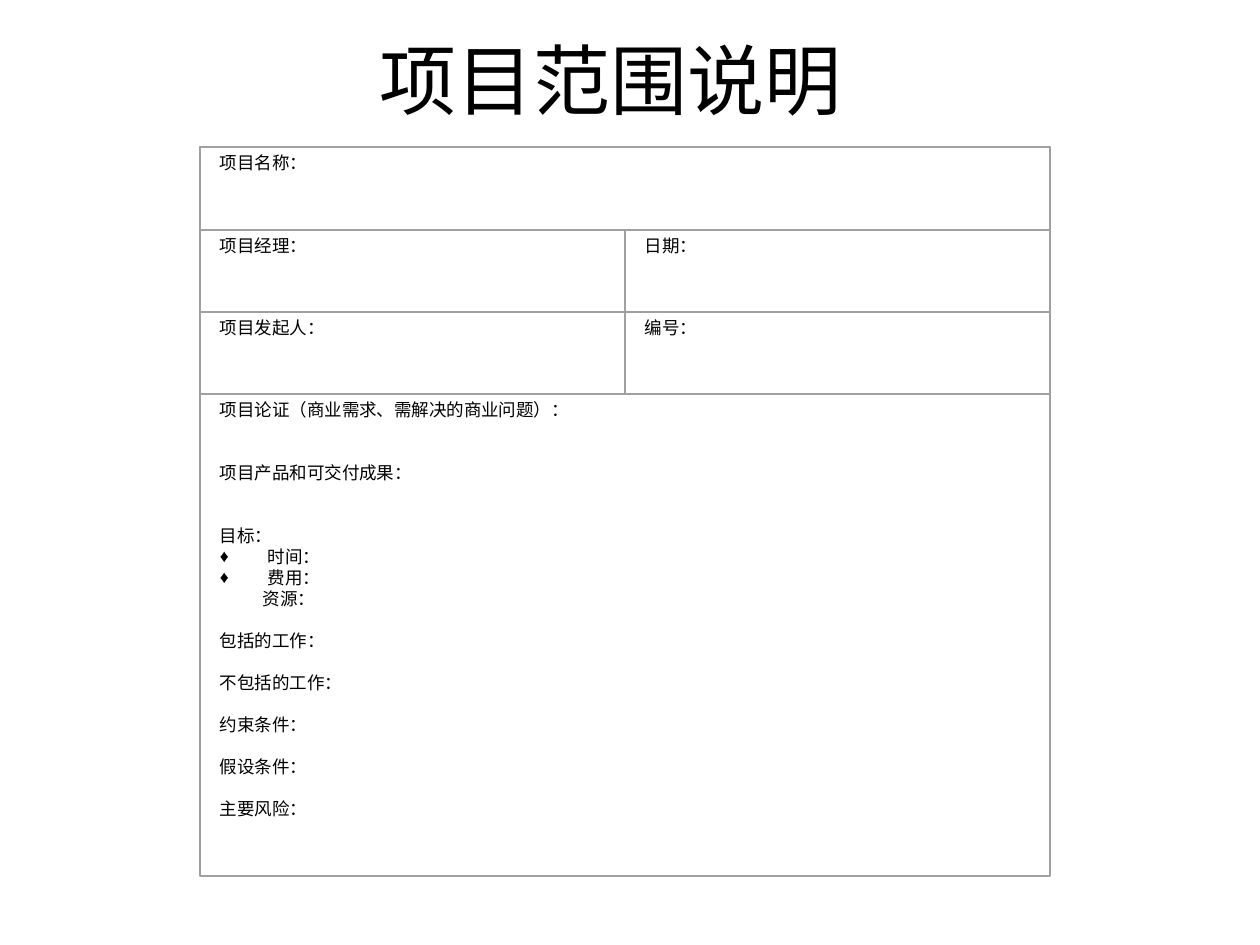
from lxml import etree
from pptx import Presentation
from pptx.dml.color import RGBColor
from pptx.enum.shapes import MSO_SHAPE
from pptx.enum.text import MSO_ANCHOR, PP_ALIGN
from pptx.oxml.ns import qn
from pptx.util import Emu, Pt

RECTANGLE = MSO_SHAPE.RECTANGLE
MIDDLE = MSO_ANCHOR.MIDDLE
CENTER, JUSTIFY = PP_ALIGN.CENTER, PP_ALIGN.JUSTIFY
PX = 914400 // 126
COLORS = {"text": "000000", "border": "A0A0A0"}
LINE_PT = 12


def add_text(box, lines, size, font, align, margins):
    """Add a text box; returns its text frame."""
    frame = slide.shapes.add_textbox(*[Emu(v * PX) for v in box]).text_frame
    frame.word_wrap = True
    frame.margin_left = frame.margin_right = Emu(margins[0] * PX)
    frame.margin_top = frame.margin_bottom = Emu(margins[1] * PX)
    frame.text = "\n".join(lines)
    for paragraph in frame.paragraphs:
        paragraph.alignment = align
        for run in paragraph.runs:
            run.font.size = Pt(size)
            run.font.name = font
            run.font.color.rgb = RGBColor.from_string(COLORS["text"])
    return frame


def add_border(box, width):
    border = slide.shapes.add_shape(RECTANGLE, *[Emu(v * PX) for v in box])
    border.shadow.inherit = False
    border.fill.background()
    border.line.color.rgb = RGBColor.from_string(COLORS["border"])
    border.line.width = Pt(width)


prs = Presentation()
prs.slide_width, prs.slide_height = Emu(1260 * PX), Emu(945 * PX)
slide = prs.slides.add_slide(prs.slide_layouts[6])

title = add_text((44, 0, 1134, 158), ["项目范围说明"], 44, "Arial", CENTER, (13, 6))
title.vertical_anchor = MIDDLE

# Scope details: text, blank lines above, left indent in px, bullet
details = [
    ("项目论证（商业需求、需解决的商业问题）：", 0, 0, None),
    ("项目产品和可交付成果：", 2, 0, None),
    ("目标：", 2, 0, None),
    ("时间：", 0, 48, "♦"),
    ("费用：", 0, 48, "♦"),
    ("资源：", 0, 43, None),
    ("包括的工作：", 1, 0, None),
    ("不包括的工作：", 1, 0, None),
    ("约束条件：", 1, 0, None),
    ("假设条件：", 1, 0, None),
    ("主要风险：", 1, 0, None),
]

# Form grid: each row splits the full width evenly between its cells
form_left, form_width = 200, 850
row_edges = [147, 230, 312, 394, 876]
rows = [
    [["项目名称："]],
    [["项目经理："], ["日期："]],
    [["项目发起人："], ["编号："]],
    [[text for text, *_ in details]],
]
for top, bottom, cells in zip(row_edges, row_edges[1:], rows):
    cell_width = form_width // len(cells)
    for column, lines in enumerate(cells):
        left = form_left + column * cell_width
        height = bottom - top
        cell_text = add_text((left + 9, top, cell_width - 18, height), lines,
                             10, "Times New Roman", JUSTIFY, (11, 5))
        add_border((left, top, cell_width, height), 0)
add_border((form_left, row_edges[0], form_width, row_edges[-1] - row_edges[0]), 0.75)

# The last cell holds the scope details
for paragraph, (_, blank_lines, indent, bullet) in zip(cell_text.paragraphs, details):
    paragraph.line_spacing = Pt(LINE_PT)
    paragraph.space_before = Pt(blank_lines * LINE_PT)
    properties = paragraph._p.get_or_add_pPr()
    properties.set("marL", str(indent * PX))
    if bullet:
        properties.set("indent", str(-indent * PX))
        etree.SubElement(properties, qn("a:buFont")).set("typeface", "Arial")
        etree.SubElement(properties, qn("a:buChar")).set("char", bullet)

prs.save("out.pptx")
